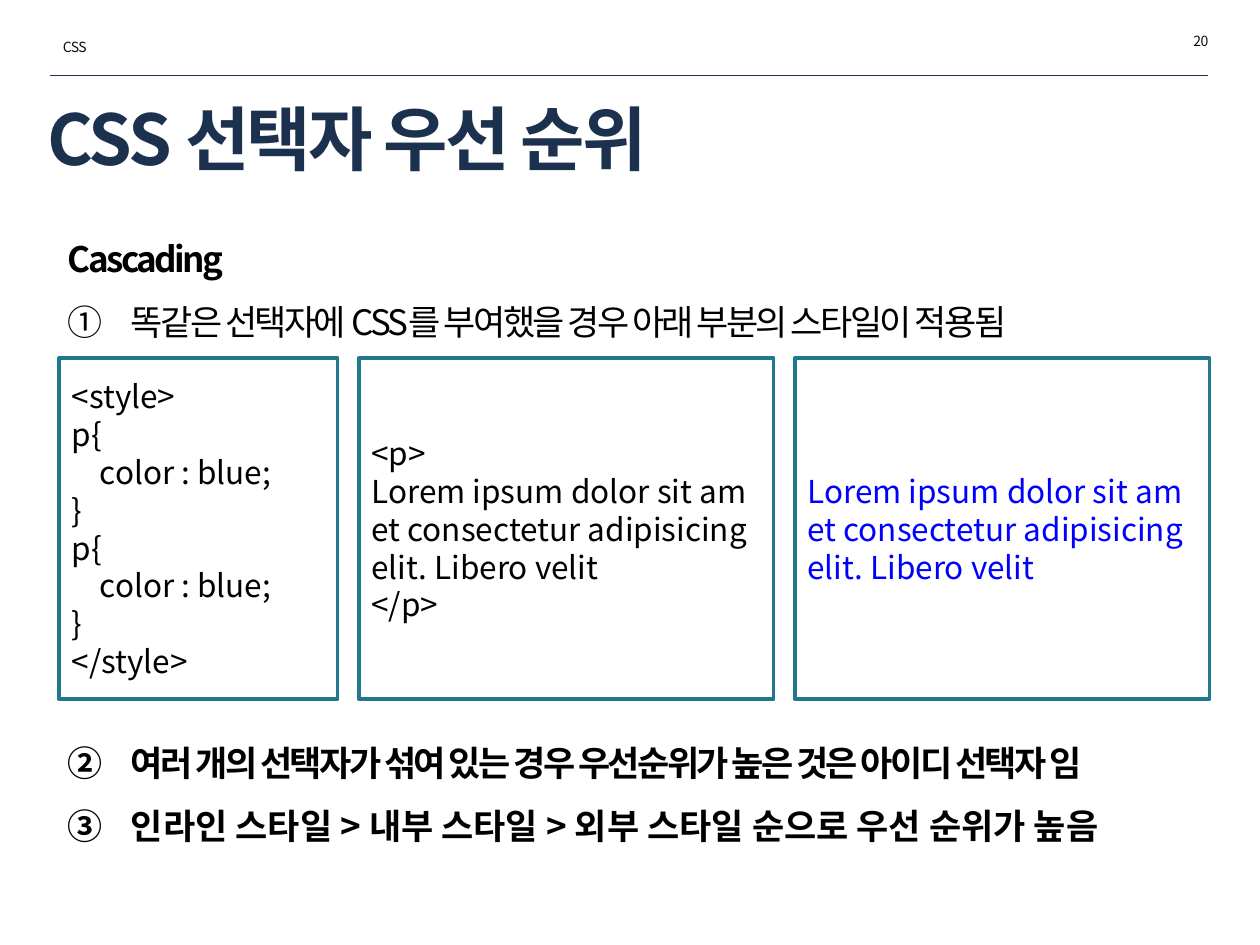
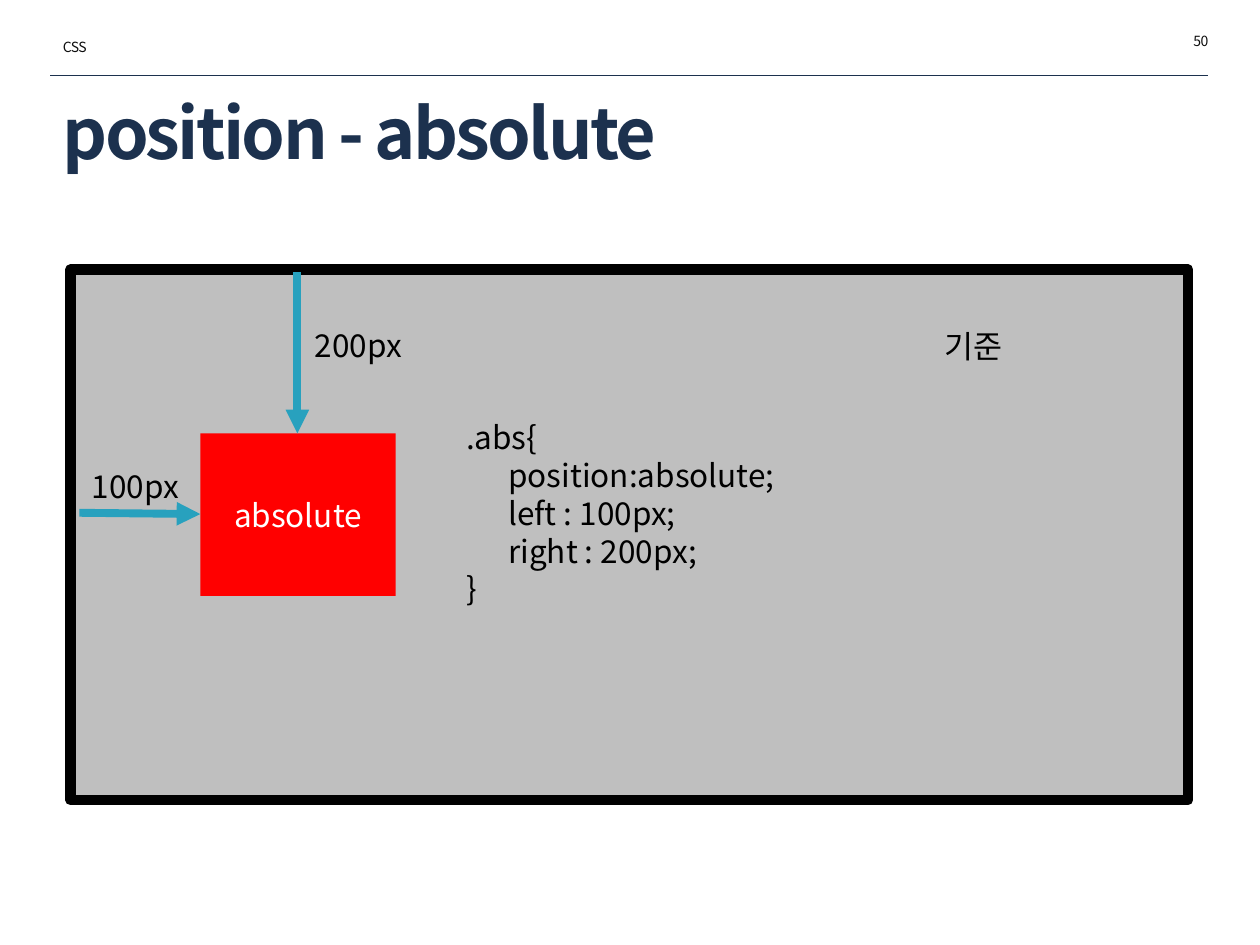
"""Build two CSS lecture slides: selector priority and absolute position."""
from lxml import etree
from pptx import Presentation
from pptx.dml.color import RGBColor
from pptx.enum.shapes import MSO_CONNECTOR, MSO_SHAPE
from pptx.enum.text import MSO_ANCHOR, PP_ALIGN
from pptx.oxml.ns import qn
from pptx.util import Inches, Pt

LINE, RECT = MSO_CONNECTOR.STRAIGHT, MSO_SHAPE.RECTANGLE
MIDDLE, TOP = MSO_ANCHOR.MIDDLE, MSO_ANCHOR.TOP
LEFT, CENTER = PP_ALIGN.LEFT, PP_ALIGN.CENTER
RIGHT, JUSTIFY = PP_ALIGN.RIGHT, PP_ALIGN.JUSTIFY
FONT = "Noto Sans CJK KR"
NAVY, INK, BLACK, WHITE = "1C314E", "0D0D0D", "000000", "FFFFFF"
TEAL, SKY, GRAY, RED, BLUE = "21788D", "28A1BE", "BFBFBF", "FF0000", "0000FF"
hue = RGBColor.from_string


def write(shape, text, size=18, tone=BLACK, bold=False, track=0, align=LEFT, anchor=TOP):
    """Fill a shape with one paragraph per line of text."""
    frame = shape.text_frame
    frame.word_wrap = True
    frame.vertical_anchor = anchor
    frame.text = text
    for para in frame.paragraphs:
        para.alignment = align
        font = para.font
        font.name, font.size, font.bold = FONT, Pt(size), bold
        font.color.rgb = hue(tone)
        props = para._p.pPr.find(qn("a:defRPr"))
        props.set("spc", str(round(track * 100)))
        etree.SubElement(props, qn("a:ea"), typeface=FONT)
    return frame.paragraphs


def link(slide, ends, tone, width, head=False):
    """Draw a straight line, with an arrowhead at its end if asked."""
    line = slide.shapes.add_connector(LINE, *map(Inches, ends))
    line.line.color.rgb = hue(tone)
    line.line.width = Pt(width)
    if head:
        etree.SubElement(line.line._get_or_add_ln(), qn("a:tailEnd"), type="triangle")
    etree.SubElement(line._element.spPr, qn("a:effectLst"))


deck = Presentation()
deck.slide_width, deck.slide_height = Inches(10), Inches(7.5)

heads = [
    ("CSS 선택자 우선 순위", "20", (0.28, 0.77, 9.26, 0.64)),
    ("position - absolute", "50", (0.4, 0.72, 9.15, 0.64)),
]
for title, page, spot in heads:
    slide = deck.slides.add_slide(deck.slide_layouts[6])
    link(slide, (0.4, 0.6, 9.59, 0.6), NAVY, 0.25)
    box = slide.shapes.add_textbox(*map(Inches, spot))
    write(box, title, 40, NAVY, True, -1.5, anchor=MIDDLE)
    for text, left, top, align in [(page, 7.96, 0.21, RIGHT), ("CSS", 0.4, 0.26, LEFT)]:
        box = slide.shapes.add_textbox(Inches(left), Inches(top), Inches(1.73), Inches(0.24))
        write(box, text, 8, INK, track=-0.3, align=align)
order, place = deck.slides

rules = """Cascading
똑같은 선택자에 CSS를 부여했을 경우 아래 부분의 스타일이 적용됨
여러 개의 선택자가 섞여 있는 경우 우선순위가 높은 것은 아이디 선택자 임
인라인 스타일 > 내부 스타일 > 외부 스타일 순으로 우선 순위가 높음"""
box = order.shapes.add_textbox(Inches(0.4), Inches(1.67), Inches(9.19), Inches(5.2))
paras = write(box, rules, 20, bold=True, track=-1.5)
for para in paras:
    para.line_spacing = 1.5
    props = para._p.pPr
    props.set("marL", str(Inches(0.04)))
    if para.text != "Cascading":
        props.set("marL", str(Inches(0.54)))
        props.set("indent", str(Inches(-0.5)))
        mark = etree.Element(qn("a:buAutoNum"), type="circleNumDbPlain")
        props.find(qn("a:defRPr")).addprevious(mark)
paras[1].font.bold = False
paras[2].space_before = Pt(216)
paras[3]._p.pPr.find(qn("a:defRPr")).set("spc", "0")

style = """<style>
p{
    color : blue;
}
p{
    color : blue;
}
</style>"""
lorem = "Lorem ipsum dolor sit amet consectetur adipisicing elit. Libero velit".replace(" ", chr(160))
left = 0.47
for text, width, tone, align in [
    (style, 2.21, BLACK, LEFT),
    (f"<p> {lorem}\n</p>", 3.29, BLACK, JUSTIFY),
    (lorem, 3.29, BLUE, JUSTIFY),
]:
    box = order.shapes.add_shape(RECT, Inches(left), Inches(2.84), Inches(width), Inches(2.71))
    box.shadow.inherit = False
    box.fill.background()
    box.line.color.rgb = hue(TEAL)
    box.line.width = Pt(2)
    write(box, text, tone=tone, align=align, anchor=MIDDLE)
    left += width + 0.17

base = place.shapes.add_shape(RECT, Inches(0.56), Inches(2.14), Inches(8.87), Inches(4.21))
base.line.color.rgb = hue(BLACK)
base.line.width = Pt(6)
block = place.shapes.add_shape(RECT, Inches(1.59), Inches(3.44), Inches(1.55), Inches(1.29))
block.line.fill.background()
for shape, tone in [(base, GRAY), (block, RED)]:
    shape.shadow.inherit = False
    shape.fill.solid()
    shape.fill.fore_color.rgb = hue(tone)
write(block, "absolute", tone=WHITE, align=CENTER, anchor=MIDDLE)

for ends in [(2.36, 2.16, 2.36, 3.44), (0.63, 4.07, 1.59, 4.08)]:
    link(place, ends, SKY, 4.5, head=True)

code = """.abs{
      position:absolute;
      left : 100px;
      right : 200px;
}"""
for text, spot in [
    ("기준", (7.4, 2.55, 1.34, 0.4)),
    ("200px", (2.4, 2.54, 1.58, 0.4)),
    ("100px", (0.63, 3.66, 0.96, 0.4)),
    (code, (3.6, 3.27, 2.79, 1.62)),
]:
    write(place.shapes.add_textbox(*map(Inches, spot)), text)

deck.save("out.pptx")
